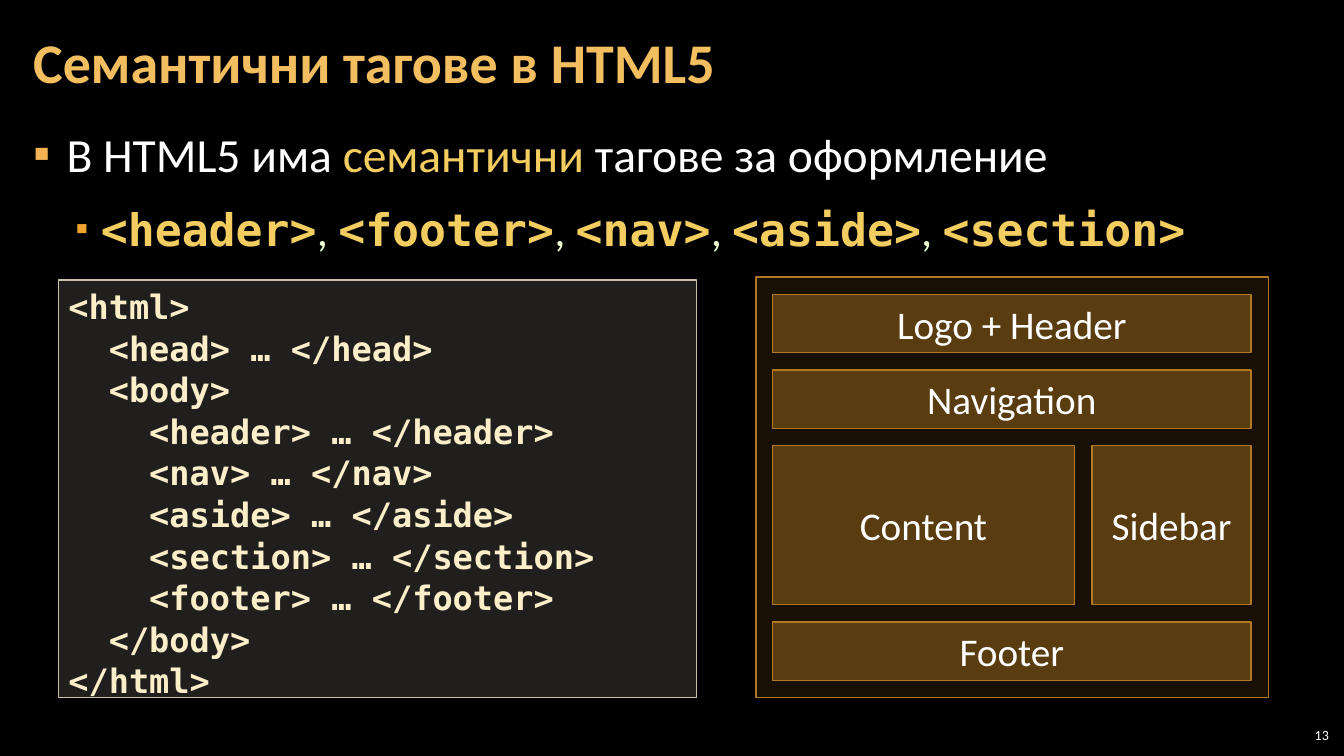
from lxml import etree
from pptx import Presentation
from pptx.dml.color import RGBColor
from pptx.enum.shapes import MSO_SHAPE
from pptx.enum.text import MSO_ANCHOR, PP_ALIGN
from pptx.oxml.ns import qn
from pptx.util import Inches, Pt

RECT = MSO_SHAPE.RECTANGLE
TOP, MIDDLE = MSO_ANCHOR.TOP, MSO_ANCHOR.MIDDLE
LEFT, CENTER, RIGHT = PP_ALIGN.LEFT, PP_ALIGN.CENTER, PP_ALIGN.RIGHT
SANS, MONO = "Calibri", "DejaVu Sans Mono"
COLORS = {
    "back": "000000", "white": "FFFFFF", "title": "F3BE60", "key": "F3CD60",
    "comma": "EBFFD2", "mark": "F2B254", "amber": "F0A22E", "edge": "B27822",
    "panel": "D9D5C7", "rim": "C7BFAC", "code": "FBEEC9",
}
CODE = """<html>
  <head> … </head>
  <body>
    <header> … </header>
    <nav> … </nav>
    <aside> … </aside>
    <section> … </section>
    <footer> … </footer>
  </body>
</html>"""


def color(name):
    return RGBColor.from_string(COLORS[name])


class Deck:
    def __init__(self):
        self.prs = Presentation()
        self.prs.slide_width, self.prs.slide_height = Inches(13.33), Inches(7.5)
        self.slide = self.prs.slides.add_slide(self.prs.slide_layouts[6])
        fill = self.slide.background.fill
        fill.solid()
        fill.fore_color.rgb = color("back")

    def style(self, run, size, name, font=SANS, bold=False):
        run.font.size, run.font.name, run.font.bold = Pt(size), font, bold
        run.font.color.rgb = color(name)

    def frame(self, box, pad, anchor):
        frame = box.text_frame
        frame.word_wrap, frame.vertical_anchor = True, anchor
        frame.margin_left = frame.margin_right = Inches(pad)
        frame.margin_top = frame.margin_bottom = Inches(0.04)
        return frame

    def text(self, at, pad=0.12, anchor=TOP):
        box = self.slide.shapes.add_textbox(*map(Inches, at))
        return self.frame(box, pad, anchor)

    def label(self, at, text, size, name, bold=False, align=LEFT, pad=0.12, space=1.0):
        para = self.text(at, pad, MIDDLE).paragraphs[0]
        para.text, para.alignment, para.line_spacing = text, align, space
        self.style(para.runs[0], size, name, bold=bold)

    def bullet(self, para, parts, size, indent, hang, mark, scale, level=0):
        para.level, para.line_spacing, para.space_after = level, 1.05, Pt(6)
        props = para._p.get_or_add_pPr()
        props.set("marL", str(Inches(indent)))
        props.set("indent", str(-Inches(hang)))
        tint = etree.SubElement(props, qn("a:buClr"))
        etree.SubElement(tint, qn("a:srgbClr"), val=COLORS[mark])
        etree.SubElement(props, qn("a:buSzPct"), val=str(scale * 1000))
        etree.SubElement(props, qn("a:buFont"), typeface=SANS)
        etree.SubElement(props, qn("a:buChar"), char="▪")
        for text, name, font, bold in parts:
            run = para.add_run()
            run.text = text
            self.style(run, size, name, font, bold)

    def rect(self, shapes, at, fill, alpha, line):
        box = shapes.add_shape(RECT, *map(Inches, at))
        box.shadow.inherit = False
        box.fill.solid()
        box.fill.fore_color.rgb = color(fill)
        tint = box.fill._xPr.find(qn("a:solidFill"))[0]
        etree.SubElement(tint, qn("a:alpha"), val=str(alpha * 1000))
        box.line.color.rgb, box.line.width = color(line), Pt(1)
        return box

    def block(self, shapes, at, text):
        box = self.rect(shapes, at, "amber", 30, "edge")
        para = self.frame(box, 0.1, MIDDLE).paragraphs[0]
        para.text, para.alignment = text, CENTER
        self.style(para.runs[0], 28, "white")

    def code(self, at, text):
        box = self.rect(self.slide.shapes, at, "panel", 15, "rim")
        frame = self.frame(box, 0.1, TOP)
        frame.margin_top = frame.margin_bottom = Inches(0.05)
        frame.text = text
        for para in frame.paragraphs:
            para.alignment, para.line_spacing = LEFT, 1.03
            self.style(para.runs[0], 24, "code", MONO, True)


def main():
    deck = Deck()
    deck.label((0.21, 0.04, 10.47, 1.21), "Семантични тагове в HTML5", 40, "title", True, space=0.9)

    body = deck.text((0.21, 1.17, 12.91, 6.09))
    intro = [
        ("В HTML5 има ", "white", SANS, False),
        ("семантични ", "key", SANS, False),
        ("тагове за оформление", "white", SANS, False),
    ]
    deck.bullet(body.paragraphs[0], intro, 34, 0.33, 0.33, "mark", 100)
    tags = []
    for tag in ("header", "footer", "nav", "aside", "section"):
        if tags:
            tags.append((", ", "comma", SANS, False))
        tags.append((f"<{tag}>", "key", MONO, True))
    para = body.add_paragraph()
    para.space_before = Pt(6)
    deck.bullet(para, tags, 32, 0.67, 0.25, "amber", 80, 1)

    deck.label((12.55, 7.17, 0.67, 0.25), "13", 10, "white", align=RIGHT, pad=0.04)

    page = deck.slide.shapes.add_group_shape().shapes
    deck.rect(page, (7.5, 2.75, 5.08, 4.17), "amber", 10, "edge")
    left, top, wide, bar, tall, gap = 7.66, 2.92, 4.75, 0.58, 1.58, 0.17
    rows = [
        (bar, [("Logo + Header", wide)]),
        (bar, [("Navigation", wide)]),
        (tall, [("Content", 3), ("Sidebar", tall)]),
        (bar, [("Footer", wide)]),
    ]
    for high, cells in rows:
        x = left
        for text, width in cells:
            deck.block(page, (x, top, width, high), text)
            x += width + gap
        top += high + gap

    deck.code((0.58, 2.78, 6.33, 4.14), CODE)
    deck.prs.save("out.pptx")


if __name__ == "__main__":
    main()
